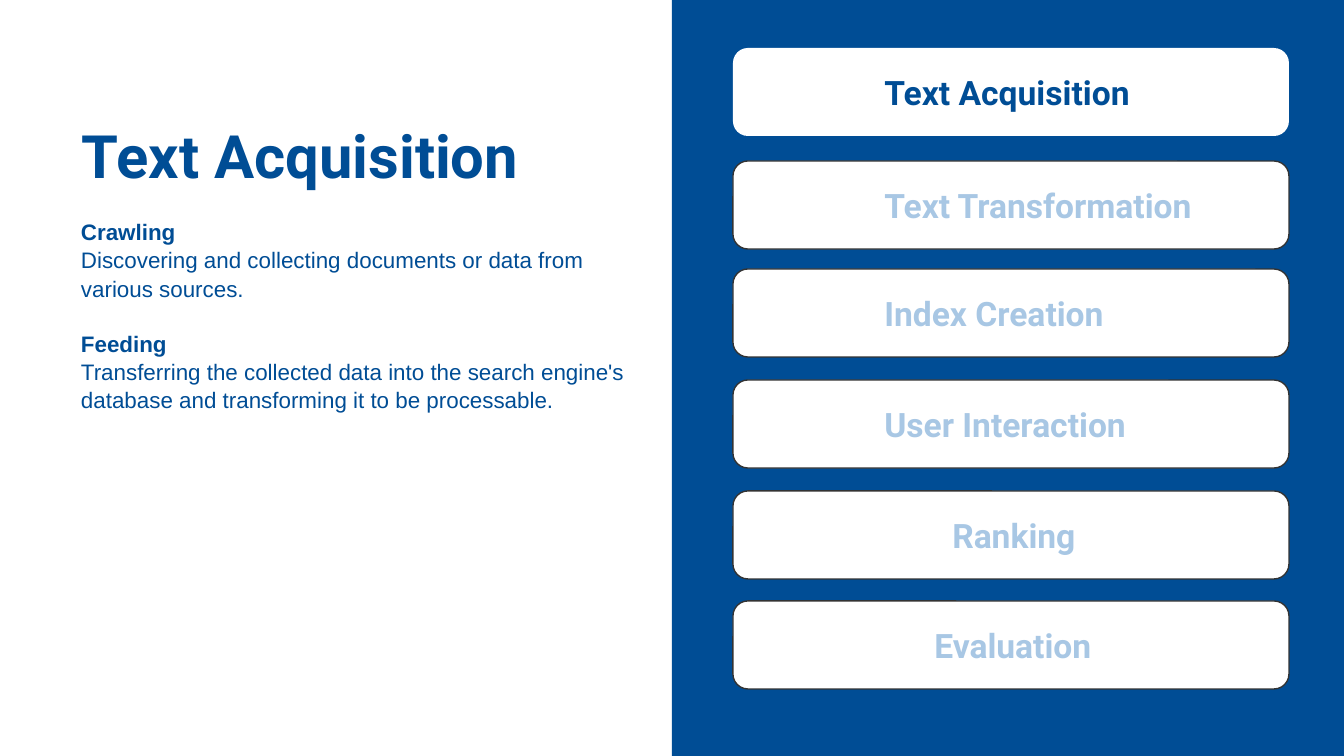
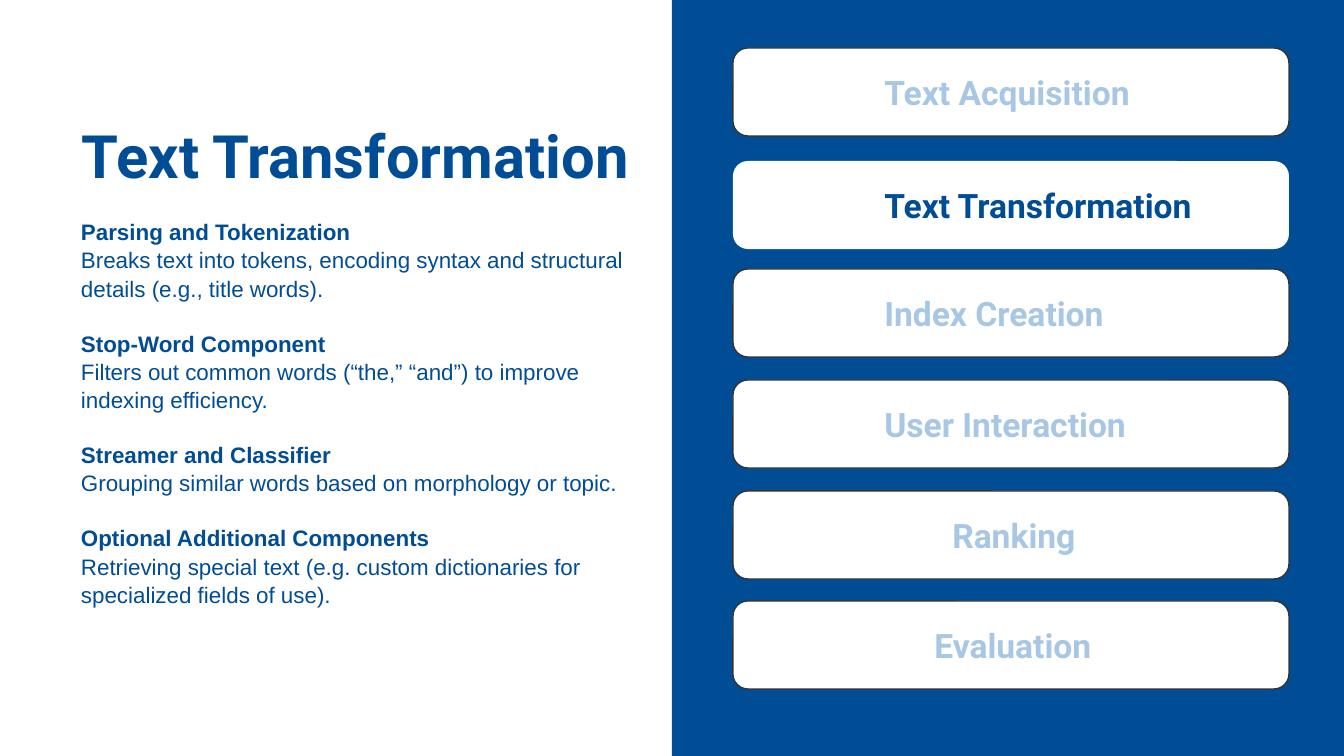
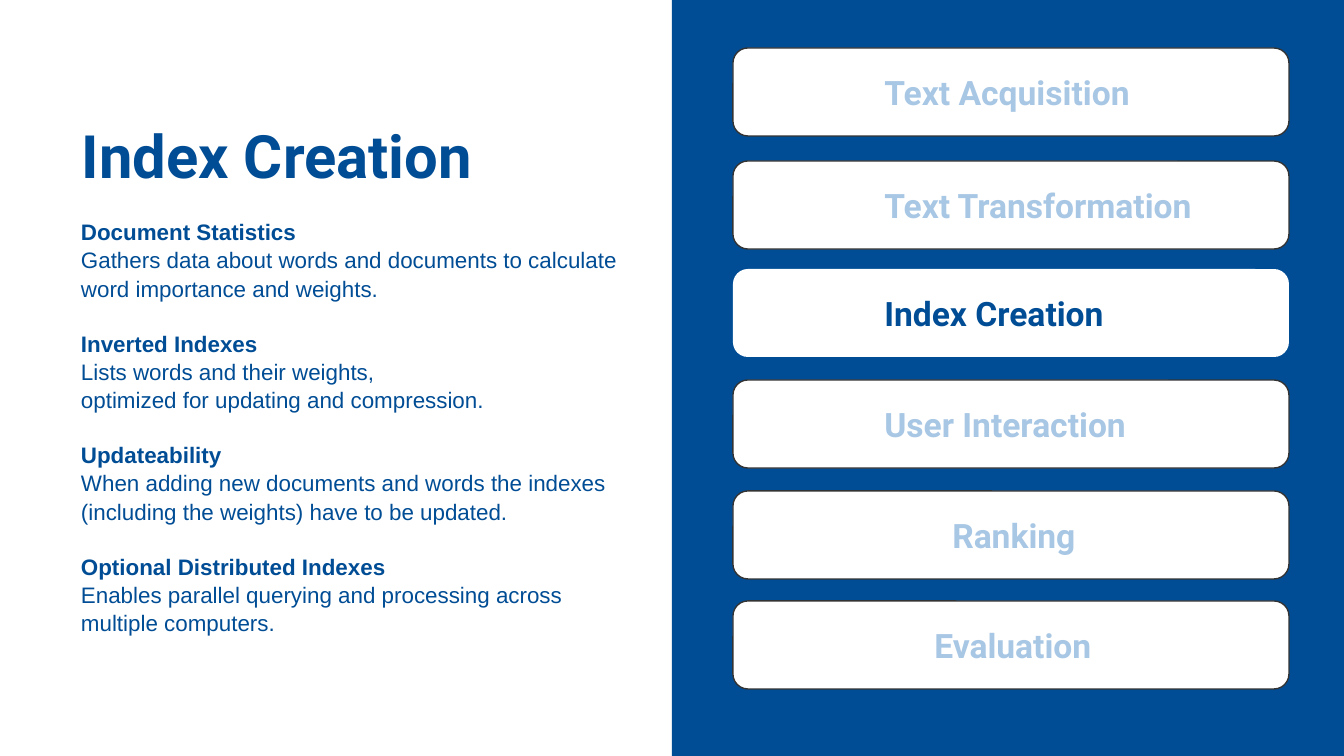
from pptx import Presentation
from pptx.dml.color import RGBColor
from pptx.enum.shapes import MSO_SHAPE
from pptx.enum.text import MSO_ANCHOR, PP_ALIGN
from pptx.util import Pt

RECT = MSO_SHAPE.RECTANGLE
ROUND = MSO_SHAPE.ROUNDED_RECTANGLE
TOP, MIDDLE = MSO_ANCHOR.TOP, MSO_ANCHOR.MIDDLE
LEFT = PP_ALIGN.LEFT

COLORS = {"blue": "004D95", "pale": "A8C7E4", "white": "FFFFFF", "edge": "333333"}

STEPS = [
    ("Text Acquisition", 48, 134),
    ("Text Transformation", 161, 134),
    ("Index Creation", 269, 134),
    ("User Interaction", 380, 134),
    ("Ranking", 491, 202),
    ("Evaluation", 601, 184),
]

SLIDES = [
    ("Text Acquisition", 262, [
        ("Crawling", ["Discovering and collecting documents or data from various sources."]),
        ("Feeding", ["Transferring the collected data into the search engine's database "
                     "and transforming it to be processable."]),
    ]),
    ("Text Transformation", 453, [
        ("Parsing and Tokenization", ["Breaks text into tokens, encoding syntax and structural "
                                      "details (e.g., title words)."]),
        ("Stop-Word Component", ["Filters out common words (“the,” “and”) to improve "
                                 "indexing efficiency."]),
        ("Streamer and Classifier", ["Grouping similar words based on morphology or topic."]),
        ("Optional Additional Components", ["Retrieving special text (e.g. custom dictionaries "
                                            "for specialized fields of use)."]),
    ]),
    ("Index Creation", 453, [
        ("Document Statistics", ["Gathers data about words and documents to calculate "
                                 "word importance and weights."]),
        ("Inverted Indexes", ["Lists words and their weights,",
                              "optimized for updating and compression."]),
        ("Updateability", ["When adding new documents and words the indexes "
                           "(including the weights) have to be updated."]),
        ("Optional Distributed Indexes", ["Enables parallel querying and processing across "
                                          "multiple computers."]),
    ]),
]


def px(n):
    return round(n * 914400 / 134.4)


def rgb(name):
    return RGBColor.from_string(COLORS[name])


def add_box(slide, kind, *area):
    box = slide.shapes.add_shape(kind, *map(px, area))
    box.shadow.inherit = False
    box.fill.solid()
    box.line.fill.background()
    return box


def set_frame(frame, side, edge, anchor=TOP):
    frame.word_wrap = True
    frame.vertical_anchor = anchor
    frame.margin_left = frame.margin_right = px(side)
    frame.margin_top = frame.margin_bottom = px(edge)
    return frame


def add_run(para, text, font, size, color="blue", bold=True):
    para.alignment = LEFT
    run = para.add_run()
    run.text = text
    run.font.name = font
    run.font.size = Pt(size)
    run.font.bold = bold
    run.font.color.rgb = rgb(color)


def set_indent(para, left):
    props = para._p.get_or_add_pPr()
    props.set("marL", str(px(left)))
    props.set("indent", "0")


def add_text(slide, *area):
    return slide.shapes.add_textbox(*map(px, area)).text_frame


def add_steps(slide, active):
    for name, top, indent in STEPS:
        box = add_box(slide, ROUND, 733, top, 556, 88)
        box.adjustments[0] = 0.17
        box.fill.fore_color.rgb = rgb("white")
        if name != active:
            box.line.color.rgb = rgb("edge")
            box.line.width = Pt(0.75)
        para = set_frame(box.text_frame, 13, 13, MIDDLE).paragraphs[0]
        set_indent(para, indent)
        add_run(para, name, "Roboto", 18, "blue" if name == active else "pale")


def add_body(slide, height, topics):
    frame = set_frame(add_text(slide, 51, 210, 594, height), 13, 7)
    lines = [(text, i == 0) for head, rest in topics for i, text in enumerate([head, *rest])]
    for i, (text, bold) in enumerate(lines):
        para = frame.add_paragraph() if i else frame.paragraphs[0]
        set_indent(para, 17)
        para.line_spacing = 1.05
        if bold and i:
            para.space_before = Pt(14.4)
        add_run(para, text, "Arial", 12, bold=bold)


def main():
    deck = Presentation()
    deck.slide_width, deck.slide_height = px(1344), px(756)
    for title, height, topics in SLIDES:
        slide = deck.slides.add_slide(deck.slide_layouts[6])
        panel = add_box(slide, RECT, 672, 0, 672, 756)
        panel.fill.fore_color.rgb = rgb("blue")
        add_steps(slide, title)
        frame = set_frame(add_text(slide, 69, 106, 648, 118), 13, 13)
        add_run(frame.paragraphs[0], title, "Roboto", 32)
        add_body(slide, height, topics)
    deck.save("out.pptx")


if __name__ == "__main__":
    main()
